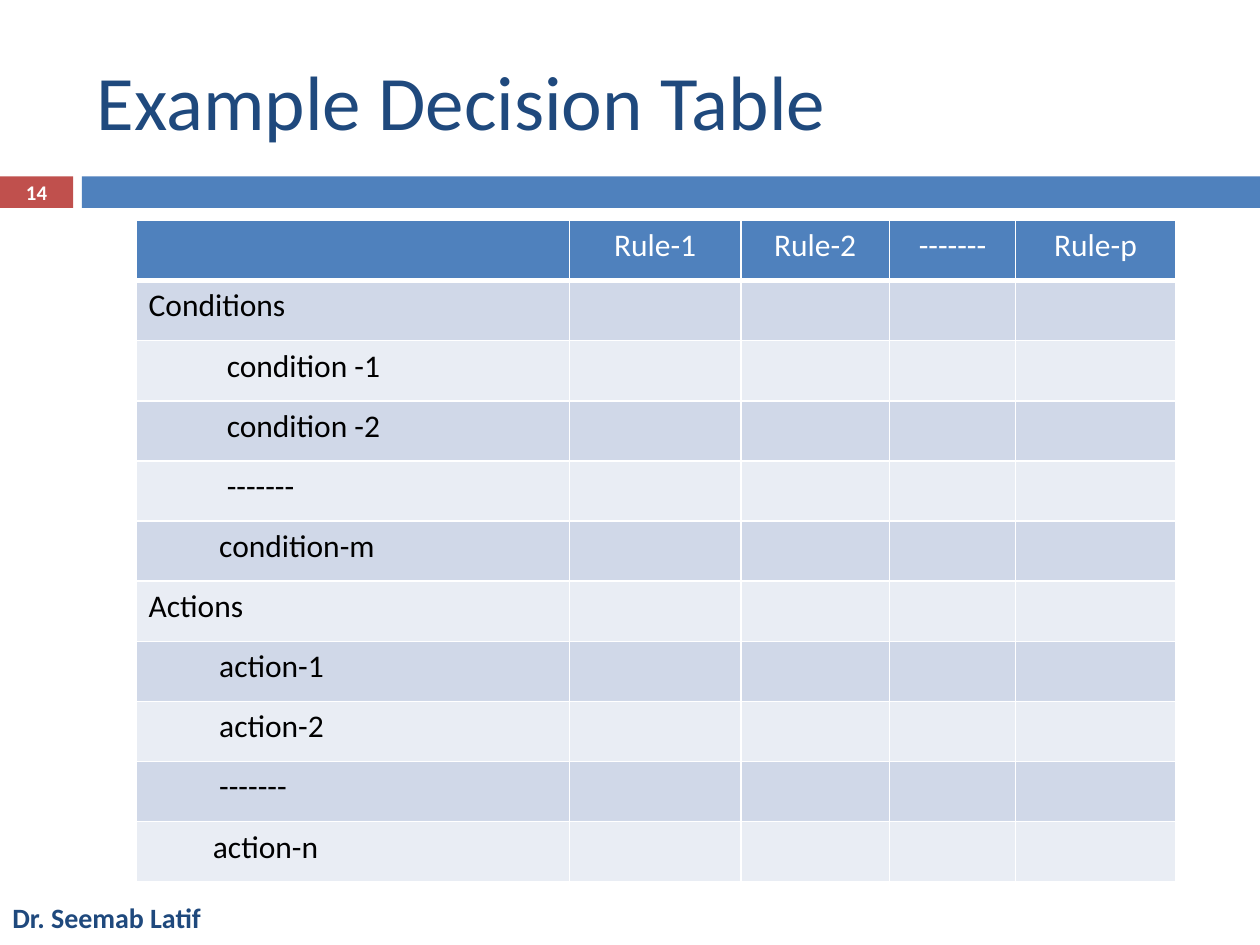
from lxml.etree import SubElement
from pptx import Presentation
from pptx.dml.color import RGBColor
from pptx.enum.shapes import MSO_SHAPE
from pptx.enum.text import MSO_ANCHOR, PP_ALIGN
from pptx.oxml.ns import qn
from pptx.util import Inches, Pt

NAVY = RGBColor(0x1F, 0x49, 0x7D)
BLUE = RGBColor(0x4F, 0x81, 0xBD)
RED = RGBColor(0xC0, 0x50, 0x4D)
BAND_DARK = RGBColor(0xD0, 0xD8, 0xE8)
BAND_LIGHT = RGBColor(0xE9, 0xED, 0xF4)
WHITE = RGBColor(0xFF, 0xFF, 0xFF)
BLACK = RGBColor(0, 0, 0)

HEADER = ["", "Rule-1", "Rule-2", "-------", "Rule-p"]
COLUMN_WIDTHS = [3.44, 1.36, 1.18, 1, 1.27]
# Label of each row and its indent in inches
ROWS = [
    ("Conditions", 0),
    ("condition -1", 0.62),
    ("condition -2", 0.62),
    ("-------", 0.62),
    ("condition-m", 0.56),
    ("Actions", 0),
    ("action-1", 0.56),
    ("action-2", 0.56),
    ("-------", 0.56),
    ("action-n", 0.51),
]


def write(tf, text, size=18, color=BLACK, bold=False, align=PP_ALIGN.LEFT, font="Calibri"):
    p = tf.paragraphs[0]
    p.alignment = align
    r = p.add_run()
    r.text = text
    r.font.name = font
    r.font.size = Pt(size)
    r.font.bold = bold
    r.font.color.rgb = color


def set_borders(cell, bottom=1):
    """Draw white cell borders; only the bottom width (points) varies."""
    tcPr = cell._tc.get_or_add_tcPr()
    for side, width in (("L", 1), ("R", 1), ("T", 1), ("B", bottom)):
        ln = SubElement(tcPr, qn(f"a:ln{side}"), w=str(Pt(width)))
        fill = SubElement(ln, qn("a:solidFill"))
        SubElement(fill, qn("a:srgbClr"), val=str(WHITE))


class SlideBuilder:
    def __init__(self, prs):
        self.s = prs.slides.add_slide(prs.slide_layouts[6])

    def bar(self, x, y, w, h, color):
        sp = self.s.shapes.add_shape(
            MSO_SHAPE.RECTANGLE, Inches(x), Inches(y), Inches(w), Inches(h))
        sp.shadow.inherit = False
        sp.fill.solid()
        sp.fill.fore_color.rgb = color
        sp.line.fill.background()

    def text(self, x, y, w, h, text, anchor=MSO_ANCHOR.TOP, margin=0.1, **style):
        sp = self.s.shapes.add_textbox(Inches(x), Inches(y), Inches(w), Inches(h))
        tf = sp.text_frame
        tf.word_wrap = True
        tf.vertical_anchor = anchor
        tf.margin_left = tf.margin_right = Inches(margin)
        write(tf, text, **style)

    def cell(self, cell, fill, text="", indent=0, bottom=1, **style):
        set_borders(cell, bottom)
        cell.fill.solid()
        cell.fill.fore_color.rgb = fill
        cell.margin_left = Inches(0.1 + indent)
        if text:
            write(cell.text_frame, text, **style)

    def decision_table(self, x, y, w, h):
        table = self.s.shapes.add_table(
            len(ROWS) + 1, len(HEADER), Inches(x), Inches(y), Inches(w), Inches(h)).table
        for column, width in zip(table.columns, COLUMN_WIDTHS):
            column.width = Inches(width)
        for col, title in enumerate(HEADER):
            self.cell(table.cell(0, col), BLUE, title, bottom=3,
                      color=WHITE, align=PP_ALIGN.CENTER)
        for row, (label, indent) in enumerate(ROWS, start=1):
            fill = BAND_DARK if row % 2 else BAND_LIGHT
            self.cell(table.cell(row, 0), fill, label, indent)
            for col in range(1, len(HEADER)):
                self.cell(table.cell(row, col), fill)


def main():
    prs = Presentation()
    prs.slide_width = Inches(10)
    prs.slide_height = Inches(7.5)

    slide = SlideBuilder(prs)
    slide.bar(0, 1.4, 0.58, 0.25, RED)
    slide.bar(0.65, 1.4, 9.35, 0.25, BLUE)
    slide.text(0, 7.1, 1.83, 0.4, "Dr. Seemab Latif", size=16, color=NAVY, bold=True)
    slide.text(0.67, 0.25, 8.92, 1.08, "Example Decision Table",
               anchor=MSO_ANCHOR.MIDDLE, size=44, color=NAVY)
    slide.decision_table(1.08, 1.75, 8.25, 5.25)
    slide.text(0, 1.39, 0.58, 0.27, "14", anchor=MSO_ANCHOR.MIDDLE, margin=0,
               size=11.9, color=WHITE, bold=True, align=PP_ALIGN.CENTER)

    prs.save("out.pptx")


if __name__ == "__main__":
    main()
